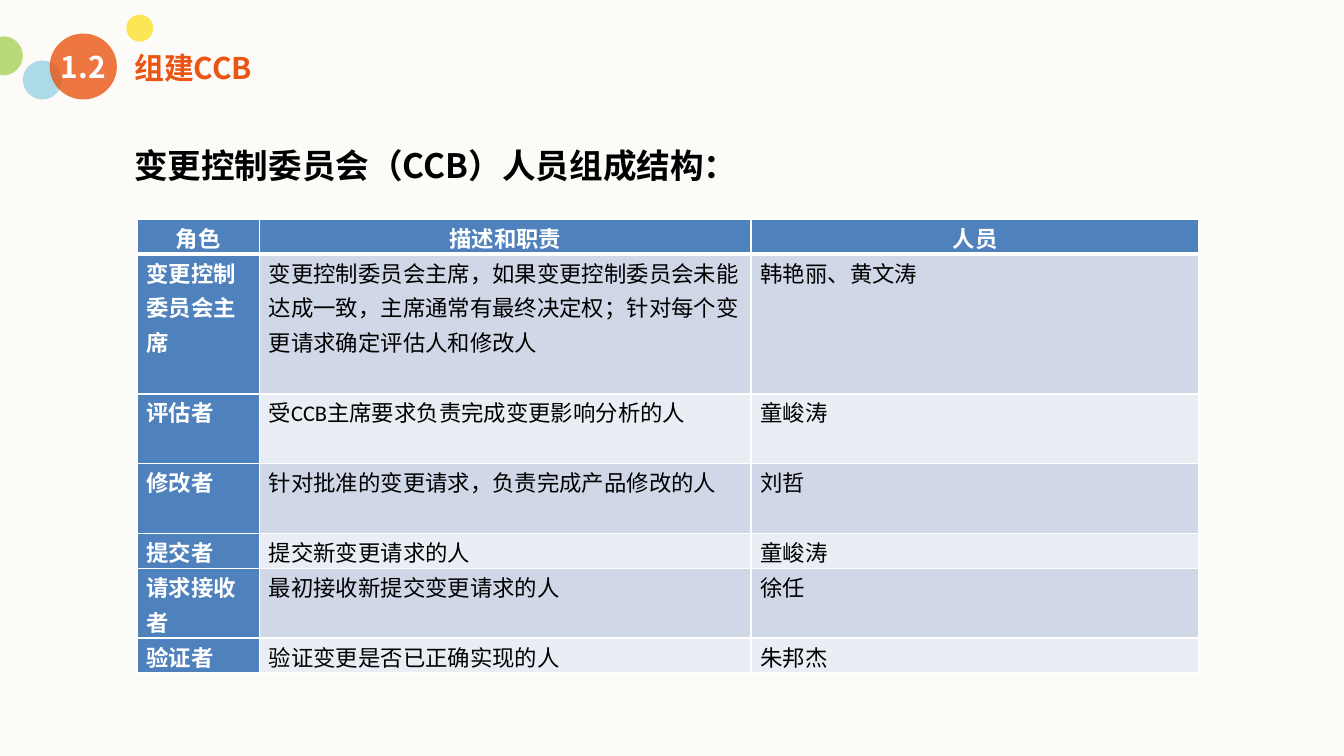
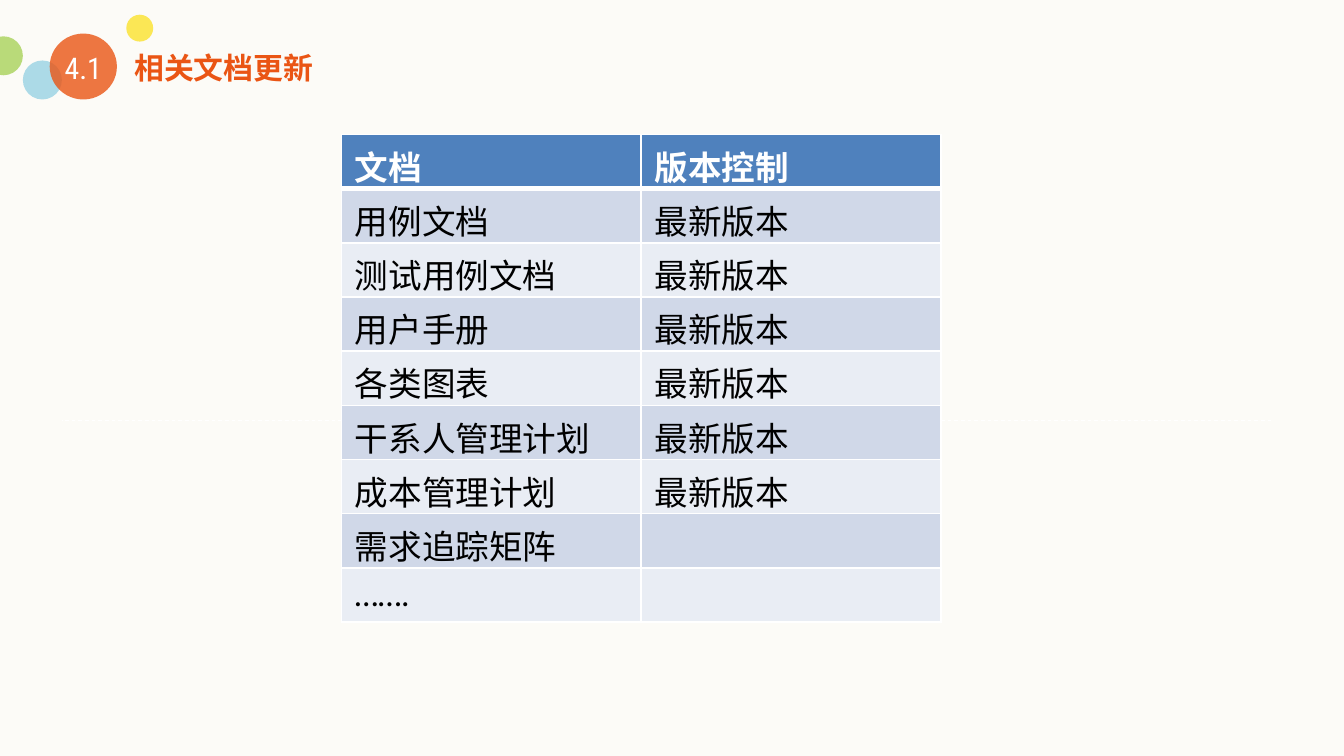
from dataclasses import dataclass

from lxml import etree
from pptx import Presentation
from pptx.dml.color import RGBColor
from pptx.enum import dml, shapes, text
from pptx.oxml.ns import qn
from pptx.util import Inches, Pt


@dataclass(frozen=True)
class Theme:
    page: str = "FCFBF7"
    accent: str = "EA5514"
    yellow: str = "FBE22D"
    green: str = "A9D25A"
    aqua: str = "98D2E3"
    white: str = "FFFFFF"
    ink: str = "000000"
    header: str = "4F81BD"
    bands: tuple = ("D0D8E8", "E9EDF4")
    heading_font: str = "Noto Sans CJK SC"
    number_font: str = "Roboto Condensed"
    table_font: str = "Calibri"
    title_size: int = 16
    large_size: int = 18
    small_size: int = 12
    bubble_alpha: int = 80


THEME = Theme()
WIDTH = 10
HEIGHT = WIDTH * 9 / 16

BUBBLES = [
    (0.94, 0.11, 0.2, 0.2, THEME.yellow),
    (-0.12, 0.27, 0.29, 0.29, THEME.green),
    (0.17, 0.45, 0.29, 0.29, THEME.aqua),
    (0.37, 0.25, 0.5, 0.49, THEME.accent),
]

COMMITTEE_HEADING = "变更控制委员会（CCB）人员组成结构："
COMMITTEE = [
    ("角色", "描述和职责", "人员"),
    ("变更控制委员会主席",
     "变更控制委员会主席，如果变更控制委员会未能达成一致，主席通常有最终决定权；针对每个变更请求确定评估人和修改人",
     "韩艳丽、黄文涛"),
    ("评估者", "受CCB主席要求负责完成变更影响分析的人", "童峻涛"),
    ("修改者", "针对批准的变更请求，负责完成产品修改的人", "刘哲"),
    ("提交者", "提交新变更请求的人", "童峻涛"),
    ("请求接收者", "最初接收新提交变更请求的人", "徐任"),
    ("验证者", "验证变更是否已正确实现的人", "朱邦杰"),
]
COMMITTEE_LINES = (1, 4, 2, 2, 1, 2, 1)

LATEST = "最新版本"
DOCUMENTS = [("文档", "版本控制")] + [
    (name, LATEST) for name in
    ("用例文档", "测试用例文档", "用户手册", "各类图表", "干系人管理计划", "成本管理计划")
] + [("需求追踪矩阵", ""), ("…….", "")]


def rgb(color):
    return RGBColor.from_string(color)


def style(paragraph, size, color, font, bold=False):
    paragraph.font.size = Pt(size)
    paragraph.font.bold = bold
    paragraph.font.color.rgb = rgb(color)
    paragraph.font.name = font
    if font == THEME.heading_font:
        defaults = paragraph._p.pPr.find(qn("a:defRPr"))
        etree.SubElement(defaults, qn("a:ea")).set("typeface", font)


def write(holder, box, words, size, color, font, bold=True,
          align=text.PP_ALIGN.LEFT, inset=None):
    holder.left, holder.top, holder.width, holder.height = map(Inches, box)
    frame = holder.text_frame
    frame.text = words
    frame.word_wrap = True
    frame.auto_size = text.MSO_AUTO_SIZE.SHAPE_TO_FIT_TEXT
    frame.vertical_anchor = text.MSO_ANCHOR.TOP
    if inset is not None:
        frame.margin_left = frame.margin_right = Inches(inset)
        frame.margin_top = frame.margin_bottom = Inches(inset)
    paragraph = frame.paragraphs[0]
    paragraph.alignment = align
    style(paragraph, size, color, font, bold)


def text_box(slide):
    return slide.shapes.add_textbox(0, 0, 0, 0)


def add_bubble(slide, left, top, width, height, color):
    bubble = slide.shapes.add_shape(
        shapes.MSO_SHAPE.OVAL, *map(Inches, (left, top, width, height)))
    bubble.shadow.inherit = False
    bubble.fill.solid()
    bubble.fill.fore_color.rgb = rgb(color)
    bubble.line.fill.background()
    tint = bubble._element.spPr.find(qn("a:solidFill"))[0]
    etree.SubElement(tint, qn("a:alpha")).set("val", str(THEME.bubble_alpha * 1000))


def add_section(deck, number, title, title_width, number_top, number_font, number_bold):
    slide = deck.slides.add_slide(deck.slide_layouts.get_by_name("Title Only"))
    for bubble in BUBBLES:
        add_bubble(slide, *bubble)
    write(text_box(slide), (0.44, number_top, 0.36, 0.27), number, THEME.title_size,
          THEME.white, number_font, number_bold, text.PP_ALIGN.CENTER, 0)
    write(slide.shapes.title, (1, 0.37, title_width, 0.27), title,
          THEME.title_size, THEME.accent, THEME.heading_font, inset=0)
    return slide


def set_borders(cell, row):
    widths = {"lnL": 1, "lnR": 1,
              "lnT": 3 if row == 1 else 1, "lnB": 3 if row == 0 else 1}
    for side, width in widths.items():
        line = etree.SubElement(cell._tc.get_or_add_tcPr(), qn("a:" + side),
                                w=str(Pt(width)))
        fill = etree.SubElement(line, qn("a:solidFill"))
        etree.SubElement(fill, qn("a:srgbClr")).set("val", THEME.white)


def add_grid(slide, left, top, columns, heights, records, size,
             role_column=False, compact=False):
    grid = slide.shapes.add_table(
        len(records), len(columns),
        *map(Inches, (left, top, sum(columns), sum(heights)))).table
    grid.first_col = role_column
    for column, width in zip(grid.columns, columns):
        column.width = Inches(width)
    for r, (record, height) in enumerate(zip(records, heights)):
        grid.rows[r].height = Inches(height)
        for c, words in enumerate(record):
            cell = grid.cell(r, c)
            heading = r == 0 or (role_column and c == 0)
            set_borders(cell, r)
            cell.fill.solid()
            cell.fill.fore_color.rgb = rgb(
                THEME.header if heading else THEME.bands[(r - 1) % 2])
            cell.text = words
            paragraph = cell.text_frame.paragraphs[0]
            if compact:
                cell.margin_left = cell.margin_right = Inches(0.07)
                cell.margin_top = cell.margin_bottom = 0
                paragraph.line_spacing = 1.07
                paragraph.space_after = Pt(8)
                if r == 0:
                    paragraph.alignment = text.PP_ALIGN.CENTER
            style(paragraph, size, THEME.white if heading else THEME.ink,
                  THEME.table_font, heading)


def add_dashes(slide, start, end, y):
    dashes = slide.shapes.add_connector(
        shapes.MSO_CONNECTOR.STRAIGHT, *map(Inches, (start, y, end, y)))
    dashes.line.color.rgb = rgb(THEME.white)
    dashes.line.width = Pt(0.5)
    dashes.line.dash_style = dml.MSO_LINE.DASH
    etree.SubElement(dashes._element.spPr, qn("a:effectLst"))


def add_committee(deck):
    slide = add_section(deck, "1.2", "组建CCB", 1.41, 0.36, THEME.heading_font, True)
    write(text_box(slide), (0.9, 1.03, 7.78, 0.4), COMMITTEE_HEADING,
          THEME.large_size, THEME.ink, THEME.heading_font)
    heights = [0.26 * lines for lines in COMMITTEE_LINES]
    add_grid(slide, 1.02, 1.63, (0.91, 3.66, 3.33), heights, COMMITTEE,
             THEME.small_size, role_column=True, compact=True)


def add_documents(deck):
    slide = add_section(deck, "4.1", "相关文档更新", 1.52, 0.37,
                        THEME.number_font, False)
    for start, end in ((4.53, 0.46), (9.46, 5.39)):
        add_dashes(slide, start, end, 3.13)
    heights = [3.63 / len(DOCUMENTS)] * len(DOCUMENTS)
    add_grid(slide, 2.54, 1, (2.23, 2.23), heights, DOCUMENTS, THEME.large_size)


def main():
    deck = Presentation()
    deck.slide_width, deck.slide_height = Inches(WIDTH), Inches(HEIGHT)
    page = deck.slide_master.background.fill
    page.solid()
    page.fore_color.rgb = rgb(THEME.page)
    add_committee(deck)
    add_documents(deck)
    deck.save("out.pptx")


if __name__ == "__main__":
    main()
